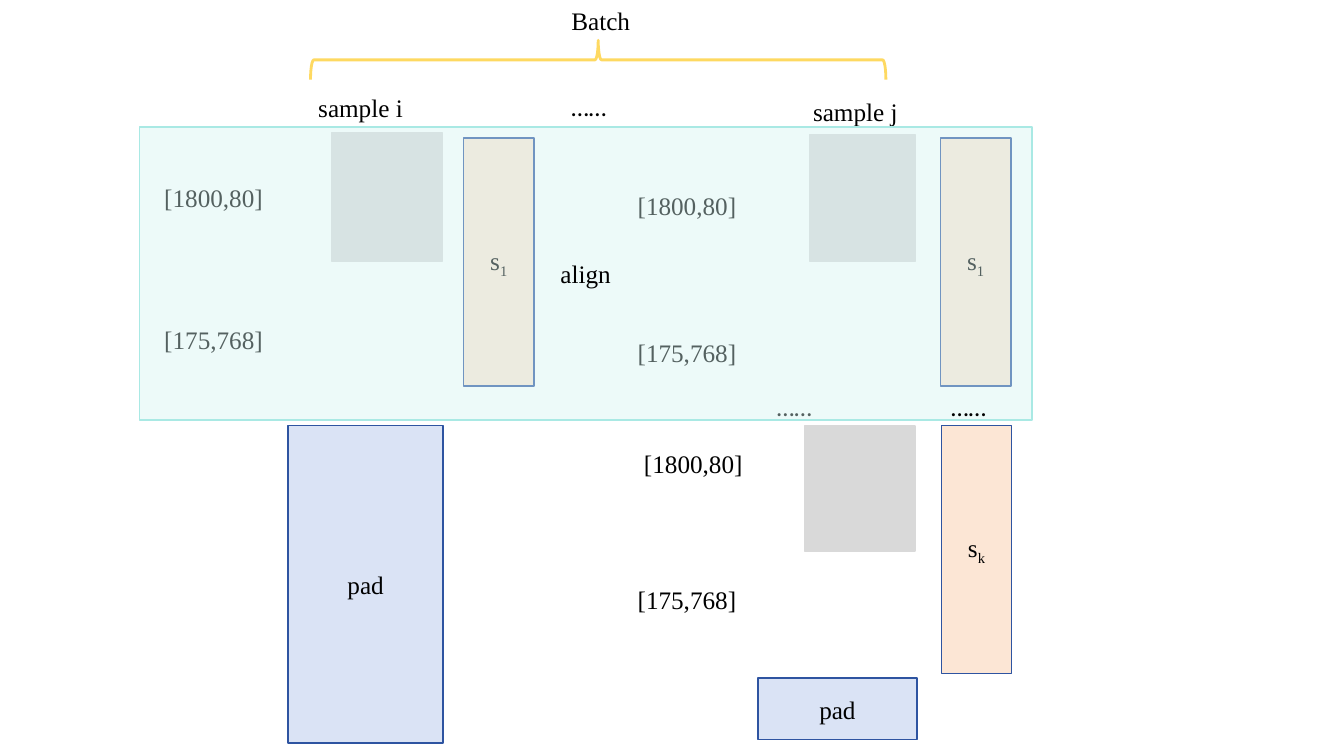
from dataclasses import dataclass

from lxml.etree import SubElement
from pptx import Presentation
from pptx.dml.color import RGBColor as RGB
from pptx.enum.shapes import MSO_SHAPE as SHAPE
from pptx.enum.text import MSO_ANCHOR as ANCHOR, MSO_AUTO_SIZE as AUTO, PP_ALIGN as ALIGN
from pptx.oxml.ns import qn
from pptx.util import Cm, Pt


@dataclass(frozen=True)
class Theme:
    text: RGB = RGB.from_string("000000")
    outline: RGB = RGB.from_string("2E54A1")
    pad: RGB = RGB.from_string("DAE3F5")
    segment: RGB = RGB.from_string("FCE6D5")
    feature: RGB = RGB.from_string("D9D9D9")
    band: RGB = RGB.from_string("D4F4F2")
    band_line: RGB = RGB.from_string("A9E9E4")
    brace: RGB = RGB.from_string("FED961")
    font: str = "Times New Roman"
    dots_font: str = "Calibri"
    size: Pt = Pt(18)


theme = Theme()
prs = Presentation()
prs.slide_width, prs.slide_height = Cm(33.87), Cm(19.05)
slide = prs.slides.add_slide(prs.slide_layouts[6])


def write(tf, text, sub="", font=theme.font):
    p = tf.paragraphs[0]
    p.font.name, p.font.size = font, theme.size
    p.font.color.rgb = theme.text
    p.add_run().text = text
    if sub:
        r = p.add_run()
        r.text = sub
        r.font._element.set("baseline", "-25000")
    return p


def add_box(x, y, w, h, fill, line=theme.outline, text="", sub=""):
    sp = slide.shapes.add_shape(SHAPE.RECTANGLE, Cm(x), Cm(y), Cm(w), Cm(h))
    sp.shadow.inherit = False
    sp.fill.solid()
    sp.fill.fore_color.rgb = fill
    sp.line.color.rgb = line
    sp.line.width = Pt(1)
    if text:
        sp.text_frame.vertical_anchor = ANCHOR.MIDDLE
        write(sp.text_frame, text, sub).alignment = ALIGN.CENTER
    return sp


for x, y, w, h in [(8.36, 3.35, 2.79, 3.23), (20.4, 3.4, 2.67, 3.18), (20.27, 10.74, 2.79, 3.15)]:
    add_box(x, y, w, h, theme.feature, theme.feature)

segment_w, segment_h = 1.78, 6.25
for x in (11.68, 23.7):
    add_box(x, 3.48, segment_w, segment_h, theme.segment, text="s", sub="1")

brace = slide.shapes.add_shape(SHAPE.LEFT_BRACE, Cm(14.58), Cm(-5.74), Cm(0.99), Cm(14.5))
brace.rotation = 90
brace.shadow.inherit = False
brace.fill.background()
brace.line.color.rgb = theme.brace
brace.line.width = Pt(2)

audio, words, dots = "[1800,80]", "[175,768]", "……"
labels = [
    (3.89, 4.47, 3.02, audio), (3.89, 8.05, 3.02, words),
    (15.82, 4.67, 3.02, audio), (15.82, 8.38, 3.02, words),
    (15.98, 11.18, 3.02, audio), (15.82, 14.6, 3.02, words),
    (14.15, 0, 11.28, "Batch"),
    (7.77, 2.21, 3.2, "sample i"), (20.24, 2.31, 3.2, "sample j"),
    (14.15, 2.18, 2.06, dots), (19.33, 9.73, 2.06, dots), (23.72, 9.73, 2.06, dots),
]
for x, y, w, text in labels:
    sp = slide.shapes.add_textbox(Cm(x), Cm(y), Cm(w), Cm(1.02))
    tf = sp.text_frame
    tf.word_wrap = True
    tf.auto_size = AUTO.SHAPE_TO_FIT_TEXT
    write(tf, text, font=theme.dots_font if text == dots else theme.font)
front_dots = sp

band = add_box(3.51, 3.2, 22.5, 7.39, theme.band, theme.band_line, "align")
band_color = band.fill._xPr.find(qn("a:solidFill"))[0]
SubElement(band_color, qn("a:alpha")).set("val", "40000")
band._element.addnext(front_dots._element)

add_box(7.26, 10.72, 3.91, 8, theme.pad, text="pad")
add_box(19.1, 17.09, 4.01, 1.55, theme.pad, text="pad")
add_box(23.72, 10.72, segment_w, segment_h, theme.segment, text="s", sub="k")

prs.save("out.pptx")
